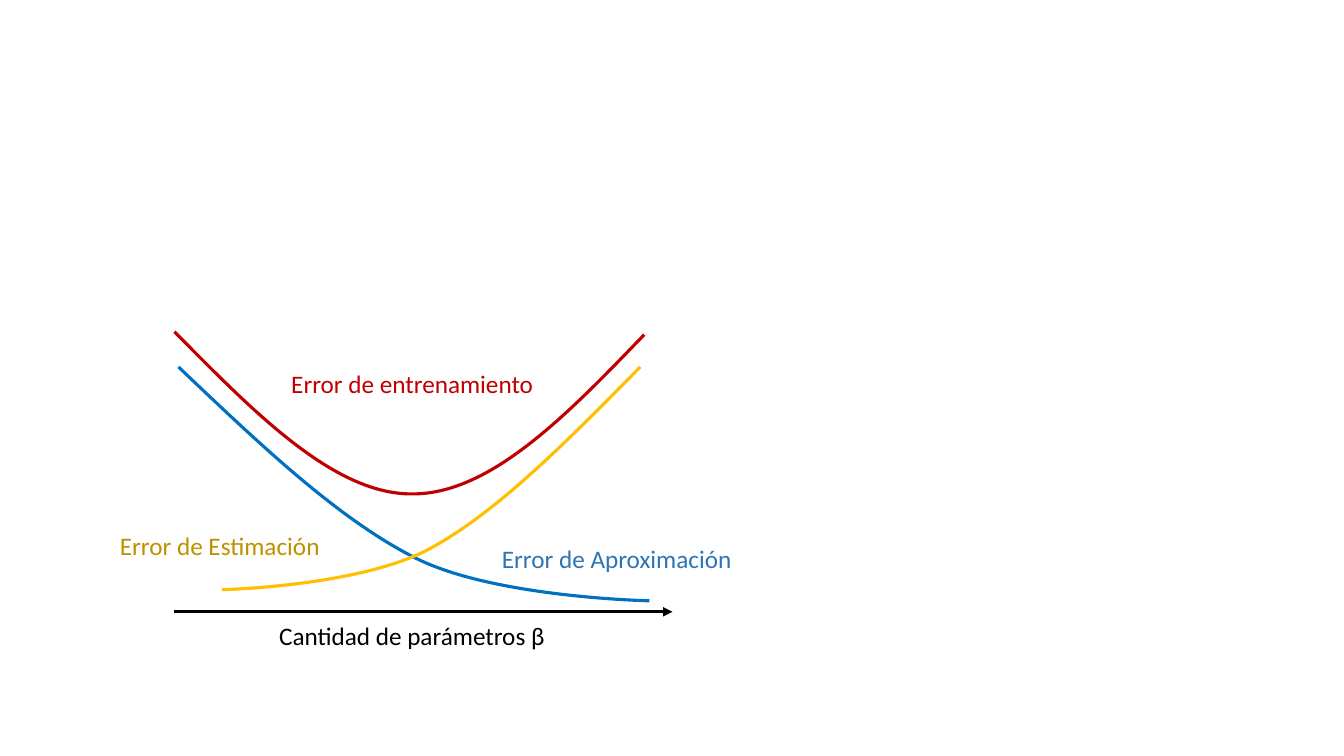
"""Build a slide showing how model errors vary with the number of parameters."""
from lxml.etree import SubElement
from pptx import Presentation
from pptx.dml.color import RGBColor
from pptx.enum.shapes import MSO_CONNECTOR
from pptx.enum.text import MSO_AUTO_SIZE
from pptx.oxml.ns import qn
from pptx.util import Emu, Pt

PX = 9144
THEME = {
    "font": "Calibri",
    "label_size": Pt(18),
    "line_width": Pt(2.25),
    "axis": RGBColor.from_string("000000"),
    "approximation": RGBColor.from_string("0070C0"),
    "approximation_label": RGBColor.from_string("2E75B6"),
    "estimation": RGBColor.from_string("FFC000"),
    "estimation_label": RGBColor.from_string("BF9000"),
    "training": RGBColor.from_string("C00000"),
}


def px(length):
    """Convert pixels to EMU."""
    return Emu(length * PX)


def bend_segments(curve):
    """Turn each three straight segments into one cubic segment."""
    outline = curve.element.find(".//" + qn("a:path"))
    segments = outline.findall(qn("a:lnTo"))
    for first in range(0, len(segments), 3):
        cubic = SubElement(outline, qn("a:cubicBezTo"))
        for segment in segments[first:first + 3]:
            cubic.append(segment[0])
            outline.remove(segment)


presentation = Presentation()
presentation.slide_width = px(1333)
presentation.slide_height = px(750)
slide = presentation.slides.add_slide(presentation.slide_layouts[6])

axis_arrow = slide.shapes.add_connector(
    MSO_CONNECTOR.STRAIGHT, px(173), px(607), px(667), px(607)
)
axis_arrow.line.color.rgb = THEME["axis"]
axis_arrow.line.width = THEME["line_width"]
axis_properties = axis_arrow.element.spPr
SubElement(axis_properties.find(qn("a:ln")), qn("a:tailEnd"), type="triangle")
SubElement(axis_properties, qn("a:effectLst"))

curves = [
    ("approximation", [(177, 364), (256, 439), (335, 515), (413, 554),
                       (491, 593), (644, 596), (644, 596)]),
    ("estimation", [(635, 364), (564, 436), (494, 508), (425, 545),
                    (355, 582), (220, 585), (220, 585)]),
    ("training", [(173, 329), (252, 409), (331, 490), (408, 490),
                  (486, 491), (563, 411), (639, 332)]),
]
for color, knots in curves:
    start, *controls = [(px(x), px(y)) for x, y in knots]
    builder = slide.shapes.build_freeform(*start)
    builder.add_line_segments(controls, close=False)
    curve = builder.convert_to_shape()
    bend_segments(curve)
    curve.shadow.inherit = False
    curve.fill.background()
    curve.line.color.rgb = THEME[color]
    curve.line.width = THEME["line_width"]

labels = [
    ("Cantidad de parámetros β", "axis", 267, 611, 287),
    ("Error de Aproximación", "approximation_label", 488, 534, 250),
    ("Error de Estimación", "estimation_label", 109, 521, 221),
    ("Error de entrenamiento", "training", 279, 360, 263),
]
for text, color, left, top, width in labels:
    label = slide.shapes.add_textbox(px(left), px(top), px(width), px(40))
    label.text_frame.word_wrap = False
    label.text_frame.auto_size = MSO_AUTO_SIZE.SHAPE_TO_FIT_TEXT
    run = label.text_frame.paragraphs[0].add_run()
    run.text = text
    for attribute, value in {"name": THEME["font"], "size": THEME["label_size"]}.items():
        setattr(run.font, attribute, value)
    run.font.color.rgb = THEME[color]

presentation.save("out.pptx")
